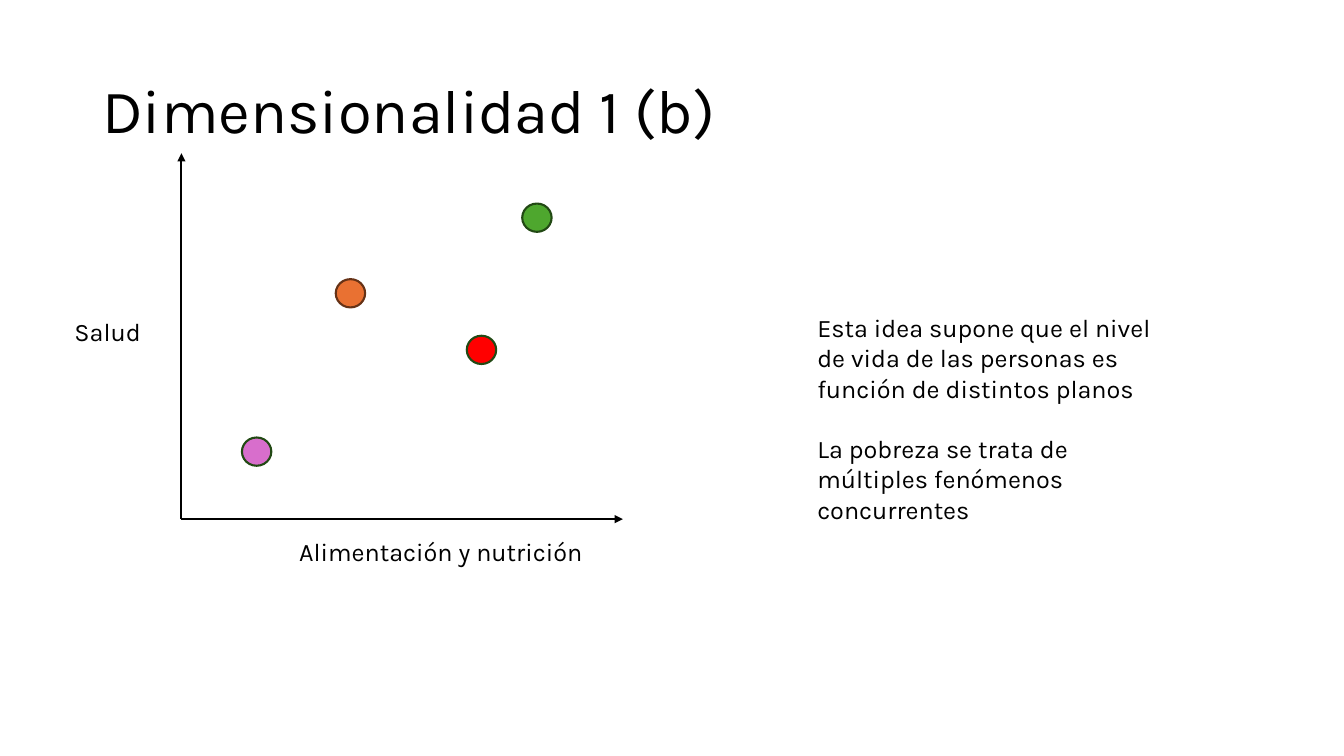
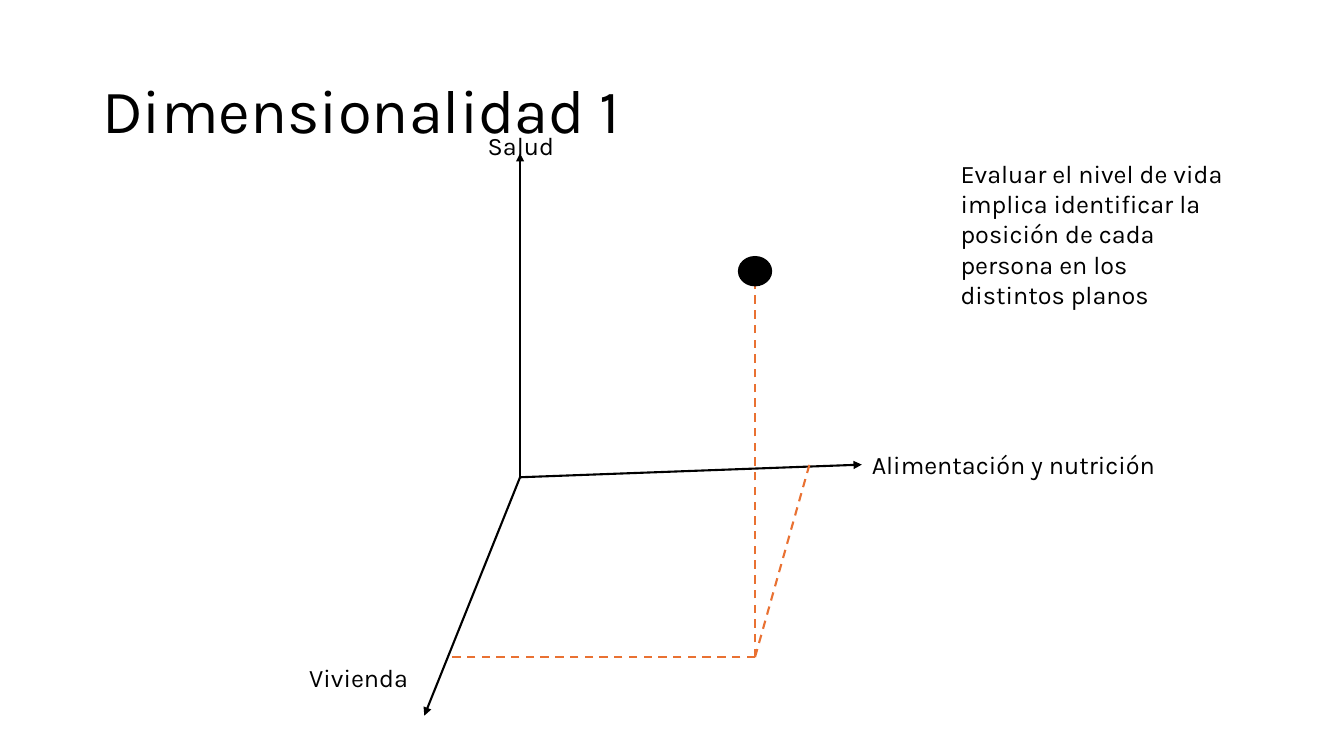
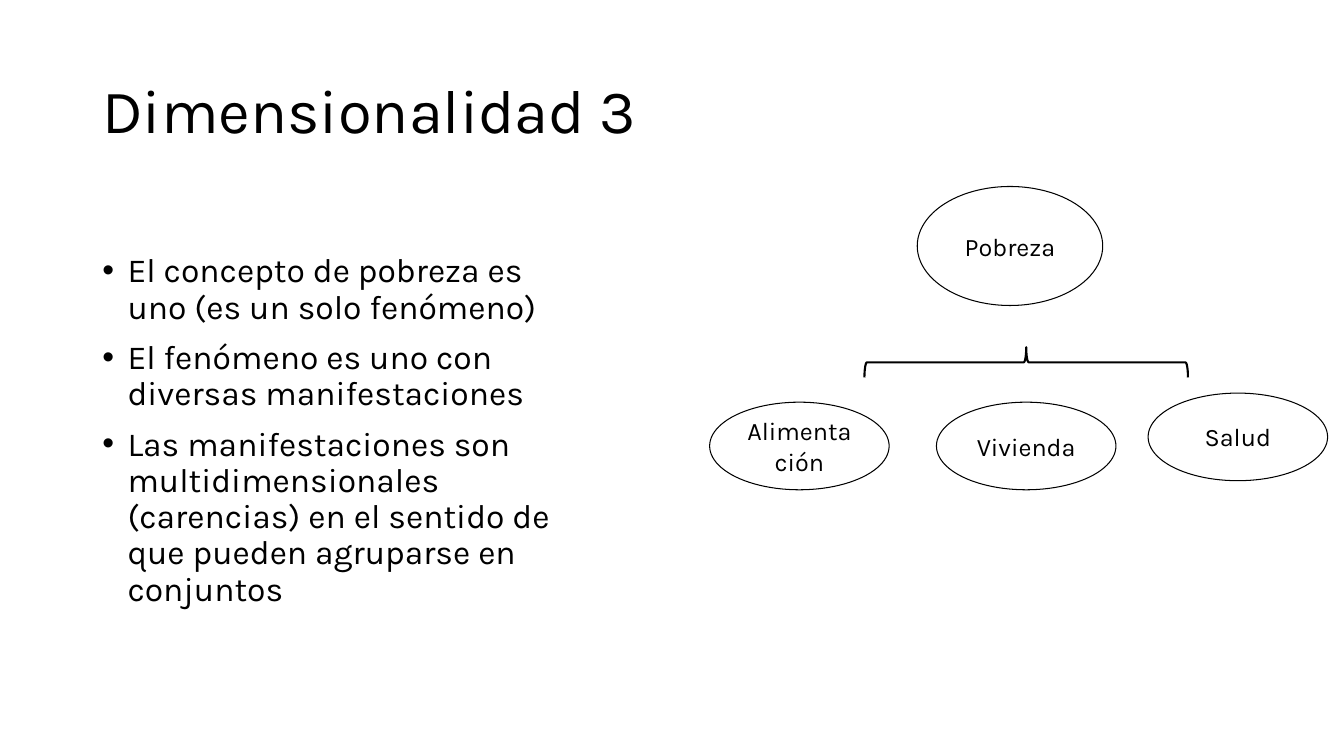
"""Build three slides on the dimensions of poverty."""
from lxml.etree import SubElement
from pptx import Presentation
from pptx.dml.color import RGBColor
from pptx.enum.dml import MSO_LINE
from pptx.enum.shapes import MSO_CONNECTOR, MSO_SHAPE
from pptx.enum.text import MSO_ANCHOR as Anchor, PP_ALIGN as Align
from pptx.oxml.ns import qn
from pptx.util import Pt

BLACK = RGBColor(0x00, 0x00, 0x00)
GREEN = RGBColor(0x4E, 0xA7, 0x2E)
DARK_GREEN = RGBColor(0x22, 0x49, 0x14)
ORANGE = RGBColor(0xE9, 0x71, 0x32)
BROWN = RGBColor(0x66, 0x32, 0x16)
RED = RGBColor(0xFF, 0x00, 0x00)
PINK = RGBColor(0xD8, 0x6E, 0xCC)

FONT = "Karla"
TEXT_SIZE = 18
LINE_WIDTH = 1.5
LABEL_HEIGHT = 28.8
LABEL_WIDTHS = {"Alimentación y nutrición": 252.7, "Salud": 70.6, "Vivienda": 89.3}
BLANK_LINE = {"space_before": Pt(21.6)}
TITLE = {"line_spacing": 0.9}
BULLET = {"line_spacing": 0.9, "space_before": Pt(10)}
CENTERED = {"alignment": Align.CENTER}


def assign(target, values):
    for name, value in values.items():
        setattr(target, name, value)


def write(shape, texts, size=TEXT_SIZE, anchor=Anchor.TOP, layout=None, later=None):
    frame = shape.text_frame
    assign(frame, {"word_wrap": True, "vertical_anchor": anchor})
    for index, text in enumerate(texts):
        para = frame.add_paragraph() if index else frame.paragraphs[0]
        assign(para, {**(layout or {}), **(later or {} if index else {})})
        span = para.add_run()
        span.text = text
        assign(span.font, {"name": FONT, "size": Pt(size)})
        span.font.color.rgb = BLACK


def add_text(page, bounds, texts, **style):
    box = page.shapes.add_textbox(*map(Pt, bounds))
    write(box, texts, **style)
    return box


def add_label(page, left, top, text):
    add_text(page, (left, top, LABEL_WIDTHS[text], LABEL_HEIGHT), [text])


def add_bullets(page, bounds, texts):
    box = add_text(page, bounds, texts, size=24, layout=BULLET)
    for para in box.text_frame.paragraphs:
        props = para._p.get_or_add_pPr()
        for name, length in {"marL": 18, "indent": -18}.items():
            props.set(name, str(Pt(length)))
        SubElement(props, qn("a:buFont")).set("typeface", "Arial")
        SubElement(props, qn("a:buChar")).set("char", "•")


def add_outline(page, kind, bounds, line=BLACK, width=LINE_WIDTH, fill=None):
    shape = page.shapes.add_shape(kind, *map(Pt, bounds))
    shape.shadow.inherit = False
    if fill is None:
        shape.fill.background()
    else:
        shape.fill.solid()
        shape.fill.fore_color.rgb = fill
    shape.line.color.rgb = line
    shape.line.width = Pt(width)
    return shape


def add_concept(page, bounds, text):
    oval = add_outline(page, MSO_SHAPE.OVAL, bounds, width=0.75)
    write(oval, [text], anchor=Anchor.MIDDLE, layout=CENTERED)


def add_line(page, start, end, color):
    line = page.shapes.add_connector(MSO_CONNECTOR.STRAIGHT, *map(Pt, start + end))
    SubElement(line._element.spPr, qn("a:effectLst"))
    line.line.color.rgb = color
    line.line.width = Pt(LINE_WIDTH)
    return line


def add_axis(page, start, end):
    axis = add_line(page, start, end, BLACK)
    SubElement(axis.line._get_or_add_ln(), qn("a:tailEnd")).set("type", "triangle")


def add_guide(page, start, end):
    add_line(page, start, end, ORANGE).line.dash_style = MSO_LINE.DASH


def add_page(deck, title):
    page = deck.slides.add_slide(deck.slide_layouts[6])
    add_text(page, (66, 28.8, 828, 104.4), [title], size=44,
             anchor=Anchor.MIDDLE, layout=TITLE)
    return page


def build_plane(deck):
    page = add_page(deck, "Dimensionalidad 1 (b)")
    origin = (129.6, 370.8)
    for end in ((445, 370.8), (129.6, 109.4)):
        add_axis(page, origin, end)
    add_label(page, 206.6, 379.4, "Alimentación y nutrición")
    add_label(page, 46.1, 222.5, "Salud")
    people = (
        (373, 145.4, GREEN, DARK_GREEN),
        (239.8, 199.4, ORANGE, BROWN),
        (333.4, 239.8, RED, DARK_GREEN),
        (172.8, 312.5, PINK, DARK_GREEN),
    )
    for left, top, fill, line in people:
        add_outline(page, MSO_SHAPE.OVAL, (left, top, 21, 20.2), line, fill=fill)
    add_text(page, (576.7, 219.6, 268.6, 138.2), [
        "Esta idea supone que el nivel de vida de las personas es función de distintos planos",
        "La pobreza se trata de múltiples fenómenos concurrentes",
    ], later=BLANK_LINE)


def build_space(deck):
    page = add_page(deck, "Dimensionalidad 1")
    origin = (371.5, 340.9)
    for end in ((615.6, 331.9), (371.5, 109.4), (303.1, 511.2)):
        add_axis(page, origin, end)
    add_label(page, 615.6, 317.5, "Alimentación y nutrición")
    add_label(page, 341.3, 89.3, "Salud")
    add_label(page, 213.8, 469.4, "Vivienda")
    corner = (539.3, 469.4)
    for end in ((319.7, 469.4), (578.2, 331.9), (539.3, 200.9)):
        add_guide(page, corner, end)
    add_outline(page, MSO_SHAPE.OVAL, (527.8, 183.6, 23, 20.2), fill=BLACK)
    add_text(page, (679, 109.4, 207.4, 116.6), [
        "Evaluar el nivel de vida implica identificar la posición de cada persona "
        "en los distintos planos",
    ])


def build_hierarchy(deck):
    page = add_page(deck, "Dimensionalidad 3")
    add_bullets(page, (66, 177.8, 339.1, 282.2), [
        "El concepto de pobreza es uno (es un solo fenómeno)",
        "El fenómeno es uno con diversas manifestaciones",
        "Las manifestaciones son multidimensionales (carencias) en el sentido de "
        "que pueden agruparse en conjuntos",
    ])
    add_concept(page, (655.2, 133.2, 132.5, 85), "Pobreza")
    parts = (
        (506.9, 287.3, "Alimentación"),
        (668.9, 287.3, "Vivienda"),
        (820.1, 280.8, "Salud"),
    )
    for left, top, text in parts:
        add_concept(page, (left, top, 128.2, 62.6), text)
    brace = add_outline(page, MSO_SHAPE.LEFT_BRACE, (722.2, 143.3, 21.6, 231.1))
    brace.rotation = 90


def main():
    deck = Presentation()
    assign(deck, {"slide_width": Pt(960), "slide_height": Pt(540)})
    for build in (build_plane, build_space, build_hierarchy):
        build(deck)
    deck.save("out.pptx")


if __name__ == "__main__":
    main()
